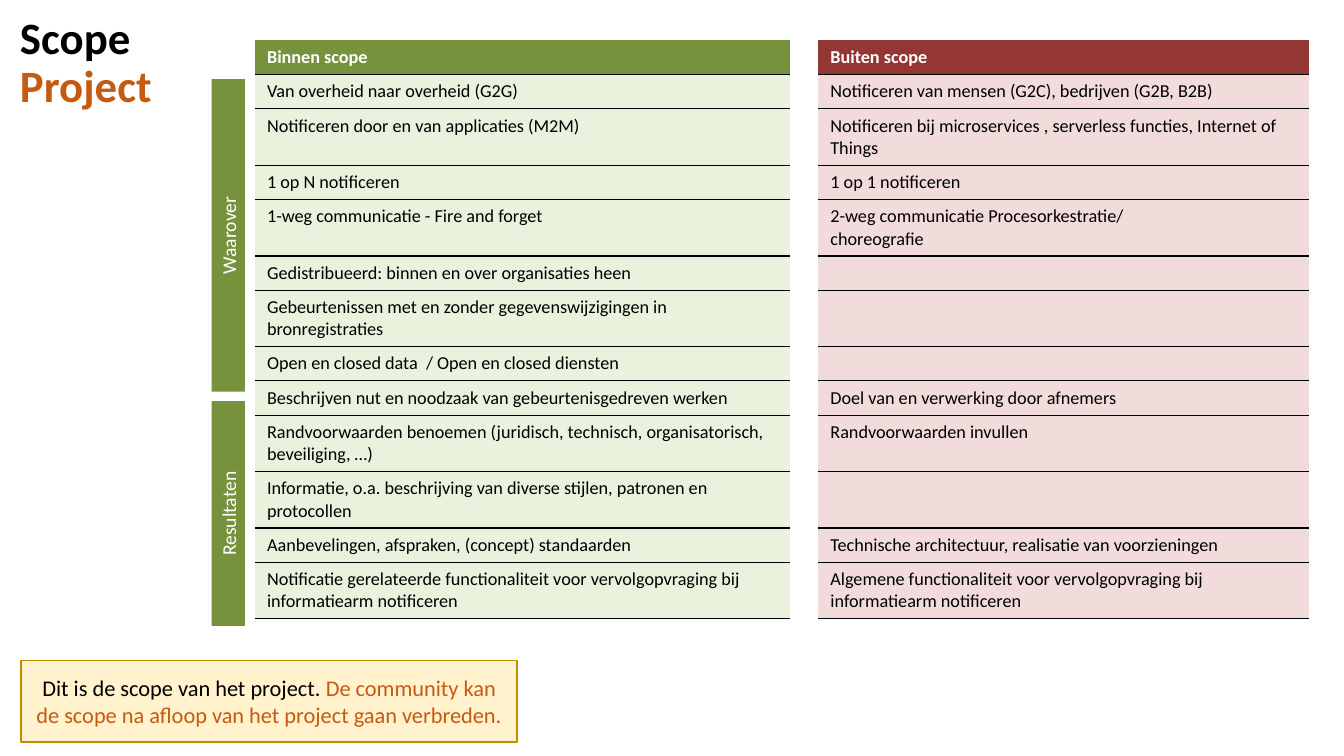
import dataclasses

import lxml.etree
import pptx
import pptx.dml.color
import pptx.enum.shapes
import pptx.enum.text
import pptx.oxml
import pptx.oxml.ns
import pptx.util

FONT = "Calibri"
COLOURS = {
    "black": "000000", "white": "FFFFFF", "orange": "C55A11",
    "green": "76923C", "pale green": "EAF1DD",
    "red": "943634", "pale red": "F2DBDB",
    "cream": "FFF2CC", "gold": "BD8E00",
}
NO_STYLE = "{2D5ABB26-0587-4C30-8999-92F81FD0307C}"

# Grid: ten columns and ten rows to the inch
GRID_STEP = pptx.util.Inches(0.1)
SLIDE_COLUMNS, SLIDE_ROWS = 133.33, 75
TABLE_LEFT, TABLE_TOP = 25.3, 4
TABLE_COLUMNS = (53.1, 2.7, 48.7)
CELL_MARGIN_X, CELL_MARGIN_Y, LINE_HEIGHT = 1.2, 0.6, 2.2


@dataclasses.dataclass(frozen=True)
class Area:
    left: float
    top: float
    width: float
    height: float


@dataclasses.dataclass(frozen=True)
class Words:
    text: str
    size: float
    colour: str
    bold: bool = False


@dataclasses.dataclass(frozen=True)
class ScopeRow:
    inside: str
    outside: str = ""
    lines: int = 1


@dataclasses.dataclass(frozen=True)
class SideBar:
    label: str
    top: float
    height: float


HEADER = ScopeRow("Binnen scope", "Buiten scope")
SCOPE_ROWS = (
    ScopeRow("Van overheid naar overheid (G2G)",
             "Notificeren van mensen (G2C), bedrijven (G2B, B2B)"),
    ScopeRow("Notificeren door en van applicaties (M2M)",
             "Notificeren bij microservices , serverless functies, Internet of Things", 2),
    ScopeRow("1 op N notificeren", "1 op 1 notificeren"),
    ScopeRow("1-weg communicatie - Fire and forget",
             "2-weg communicatie Procesorkestratie/\nchoreografie", 2),
    ScopeRow("Gedistribueerd: binnen en over organisaties heen"),
    ScopeRow("Gebeurtenissen met en zonder gegevenswijzigingen in bronregistraties", lines=2),
    ScopeRow("Open en closed data  / Open en closed diensten"),
    ScopeRow("Beschrijven nut en noodzaak van gebeurtenisgedreven werken",
             "Doel van en verwerking door afnemers"),
    ScopeRow("Randvoorwaarden benoemen (juridisch, technisch, organisatorisch, beveiliging, …)",
             "Randvoorwaarden invullen", 2),
    ScopeRow("Informatie, o.a. beschrijving van diverse stijlen, patronen en protocollen", lines=2),
    ScopeRow("Aanbevelingen, afspraken, (concept) standaarden",
             "Technische architectuur, realisatie van voorzieningen"),
    ScopeRow("Notificatie gerelateerde functionaliteit voor vervolgopvraging bij "
             "informatiearm notificeren",
             "Algemene functionaliteit voor vervolgopvraging bij informatiearm notificeren", 2),
)
SIDE_BARS = (SideBar("Waarover", 7.85, 31), SideBar("Resultaten", 39.8, 22.3))
BAR_LEFT, BAR_WIDTH = 21, 3.3


def grid(units: float) -> pptx.util.Emu:
    return pptx.util.Emu(round(units * GRID_STEP))


def frame(area: Area) -> list:
    return [grid(units) for units in dataclasses.astuple(area)]


def colour(name: str) -> pptx.dml.color.RGBColor:
    return pptx.dml.color.RGBColor.from_string(COLOURS[name])


def add_words(para, words: Words) -> None:
    span = para.add_run()
    span.text = words.text
    span.font.name = FONT
    span.font.size = pptx.util.Pt(words.size)
    span.font.bold = words.bold
    span.font.color.rgb = colour(words.colour)


def add_box(page, area: Area, fill: str, spans: tuple, line: str = "", rotation: float = 0) -> None:
    box = page.shapes.add_shape(pptx.enum.shapes.MSO_SHAPE.RECTANGLE, *frame(area))
    box.shadow.inherit = False
    box.rotation = rotation
    box.fill.solid()
    box.fill.fore_color.rgb = colour(fill)
    if line:
        box.line.color.rgb = colour(line)
        box.line.width = pptx.util.Pt(1)
    else:
        box.line.fill.background()
    box.text_frame.word_wrap = True
    box.text_frame.vertical_anchor = pptx.enum.text.MSO_ANCHOR.MIDDLE
    para = box.text_frame.paragraphs[0]
    para.alignment = pptx.enum.text.PP_ALIGN.CENTER
    for words in spans:
        add_words(para, words)


def add_title(page) -> None:
    box = page.shapes.add_textbox(*frame(Area(1, 0.6, 15.4, 11.5)))
    box.text_frame.word_wrap = True
    box.text_frame.vertical_anchor = pptx.enum.text.MSO_ANCHOR.MIDDLE
    para = box.text_frame.paragraphs[0]
    para.line_spacing = 0.9
    add_words(para, Words("Scope", 32, "black", True))
    para.add_line_break()
    add_words(para, Words("Project", 32, "orange", True))


def add_bottom_border(cell) -> None:
    border = pptx.oxml.parse_xml(
        f'<a:lnB {pptx.oxml.ns.nsdecls("a")} w="12700"><a:solidFill>'
        f'<a:srgbClr val="{COLOURS["black"]}"/></a:solidFill></a:lnB>')
    cell._tc.get_or_add_tcPr().insert(0, border)


def fill_cell(cell, text: str, fill: str, header: bool) -> None:
    cell.margin_left = cell.margin_right = grid(CELL_MARGIN_X)
    cell.margin_top = cell.margin_bottom = grid(CELL_MARGIN_Y)
    if fill:
        cell.fill.solid()
        cell.fill.fore_color.rgb = colour(fill)
        add_bottom_border(cell)
    else:
        cell.fill.background()
    if not text:
        # Keeps an empty cell as low as a line of table text
        end = lxml.etree.SubElement(cell.text_frame.paragraphs[0]._p,
                                    pptx.oxml.ns.qn("a:endParaRPr"))
        end.set("sz", "1300")
        return
    for index, line in enumerate(text.split("\n")):
        para = cell.text_frame.add_paragraph() if index else cell.text_frame.paragraphs[0]
        add_words(para, Words(line, 13, "white" if header else "black", header))


def add_scope_table(page) -> None:
    rows = (HEADER,) + SCOPE_ROWS
    heights = [2 * CELL_MARGIN_Y + LINE_HEIGHT * row.lines for row in rows]
    area = Area(TABLE_LEFT, TABLE_TOP, sum(TABLE_COLUMNS), sum(heights))
    holder = page.shapes.add_table(len(rows), len(TABLE_COLUMNS), *frame(area))
    table = holder.table
    table.first_row = table.horz_banding = False
    table._tbl.tblPr.find(pptx.oxml.ns.qn("a:tableStyleId")).text = NO_STYLE
    for column, width in zip(table.columns, TABLE_COLUMNS):
        column.width = grid(width)
    for index, (row, height) in enumerate(zip(rows, heights)):
        table.rows[index].height = grid(height)
        header = row is HEADER
        fills = ("green", "", "red") if header else ("pale green", "", "pale red")
        for column, text in enumerate((row.inside, "", row.outside)):
            fill_cell(table.cell(index, column), text, fills[column], header)


def add_side_bar(page, bar: SideBar) -> None:
    # The box lies flat around its centre, then turns upright
    turn = (bar.height - BAR_WIDTH) / 2
    area = Area(BAR_LEFT - turn, bar.top + turn, bar.height, BAR_WIDTH)
    add_box(page, area, "green", (Words(bar.label, 14, "white"),), rotation=270)


def main() -> None:
    deck = pptx.Presentation()
    deck.slide_width, deck.slide_height = grid(SLIDE_COLUMNS), grid(SLIDE_ROWS)
    page = deck.slides.add_slide(deck.slide_layouts[6])

    # Title and table
    add_title(page)
    add_scope_table(page)

    # Conclusion
    add_box(page, Area(2.1, 65.5, 49.2, 8.1), "cream", (
        Words("Dit is de scope van het project. ", 16, "black"),
        Words("De community kan de scope na afloop van het project gaan verbreden.", 16, "orange"),
    ), line="gold")

    # Row groups
    for bar in SIDE_BARS:
        add_side_bar(page, bar)

    deck.save("out.pptx")


if __name__ == "__main__":
    main()
